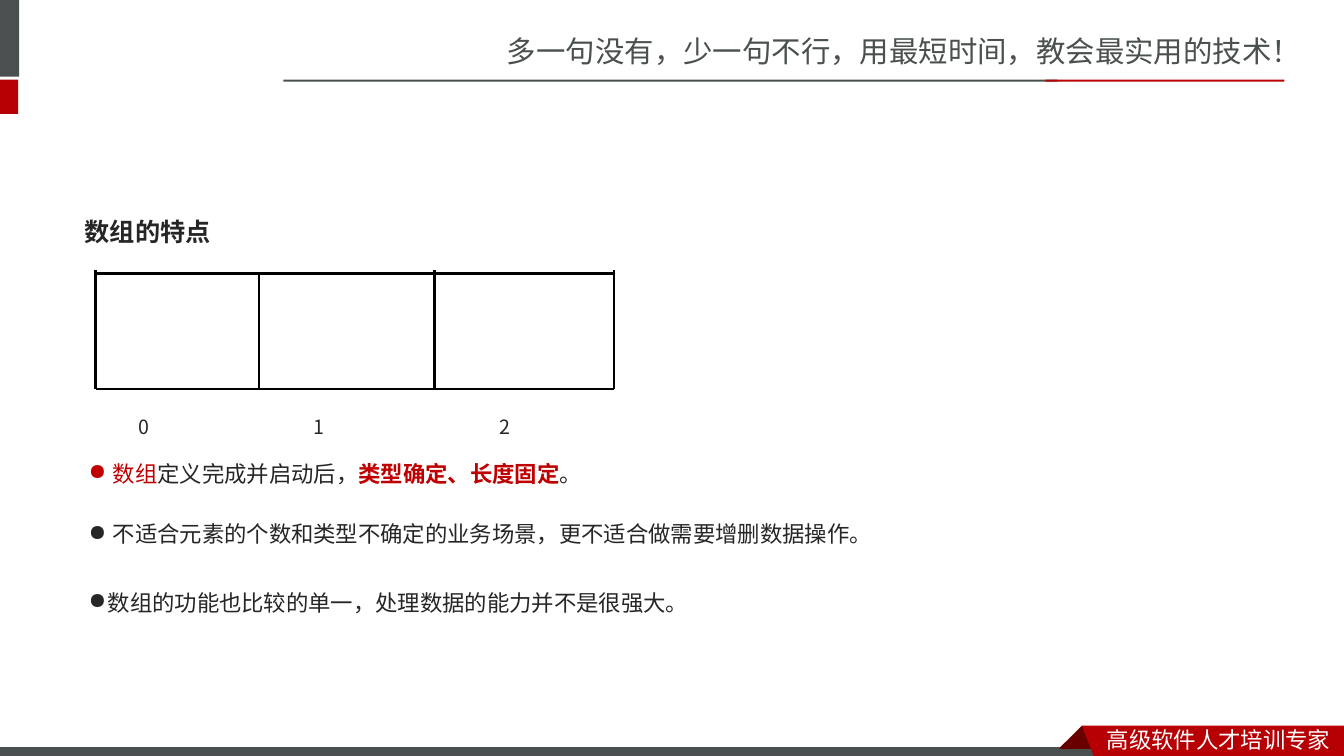
import pptx
import pptx.util
import pptx.dml.color
import pptx.enum.shapes
import pptx.enum.text
import pptx.oxml.ns
from lxml import etree

Inches, Pt = pptx.util.Inches, pptx.util.Pt
HEX = {"gray": "49504F", "red": "B60004", "dark": "680000", "white": "FFFFFF",
       "ink": "262626", "mark": "C00000", "black": "000000"}
COLOR = {name: pptx.dml.color.RGBColor.from_string(code) for name, code in HEX.items()}
SC, JP = "Noto Sans CJK SC", "Noto Sans CJK JP"
qn = pptx.oxml.ns.qn

deck = pptx.Presentation()
deck.slide_width, deck.slide_height = Inches(13.33), Inches(7.5)
slide = deck.slides.add_slide(deck.slide_layouts[5])
shapes = slide.shapes


def write(box, place, runs, size, face=JP, space=None, indent=None, bold=False):
    box.left, box.top, box.width, box.height = [Inches(n) for n in place]
    frame = box.text_frame
    frame.word_wrap = True
    frame.auto_size = pptx.enum.text.MSO_AUTO_SIZE.NONE
    frame.vertical_anchor = pptx.enum.text.MSO_ANCHOR.TOP
    para = frame.paragraphs[0]
    para.alignment = pptx.enum.text.PP_ALIGN.LEFT
    if space:
        para.line_spacing = space
    if indent:
        props = para._p.get_or_add_pPr()
        props.set("marL", str(Inches(indent)))
        props.set("indent", str(-Inches(indent)))
        etree.SubElement(props, qn("a:buChar")).set("char", "●")
    font = para.font
    font.size, font.name, font.bold = Pt(size), face, bold
    font.color.rgb = COLOR[runs[0][1]]
    etree.SubElement(font._element, qn("a:ea")).set("typeface", face)
    for text, color, *strong in runs:
        run = para.add_run()
        run.text = text
        if len(runs) > 1:
            run.font.color.rgb = COLOR[color]
            run.font.bold = bool(strong)


def paint(shape, color, edge=None):
    shape.shadow.inherit = False
    shape.fill.solid()
    shape.fill.fore_color.rgb = COLOR[color]
    if edge:
        shape.line.color.rgb = COLOR[edge]
        shape.line.width = Pt(0.75)
    else:
        shape.line.fill.background()


write(shapes.add_textbox(0, 0, 0, 0), (4.93, 0.28, 8.41, 0.47),
      [("多一句没有，少一句不行，用最短时间，教会最实用的技术！", "gray")], 21, SC)

bars = [((-0.06, 0, 0.25, 0.76), "gray", None),
        ((-0.06, 0.79, 0.24, 0.34), "red", None),
        ((2.81, 0.79, 7.68, 0.02), "gray", None),
        ((10.37, 0.79, 2.37, 0.02), "red", None),
        ((-0.01, 7.41, 11, 0.12), "gray", "white")]
for place, color, edge in bars:
    bar = shapes.add_shape(pptx.enum.shapes.MSO_SHAPE.RECTANGLE, *[Inches(n) for n in place])
    paint(bar, color, edge)

folds = [("dark", [(10.73, 7.2), (10.95, 7.42), (10.94, 7.43), (10.52, 7.43), (10.51, 7.42)]),
         ("red", [(10.73, 7.2), (13.33, 7.2), (13.33, 7.54), (10.86, 7.53)])]
for color, points in folds:
    start, *rest = [(Inches(x), Inches(y)) for x, y in points]
    pen = shapes.build_freeform(*start)
    pen.add_line_segments(rest, close=True)
    paint(pen.convert_to_shape(), color)

write(shapes.add_textbox(0, 0, 0, 0), (10.88, 7.15, 2.45, 0.37),
      [("高级软件人才培训专家", "white")], 16, SC)

write(shapes.title, (0.74, 1.95, 5.12, 0.51), [("数组的特点", "ink")], 18, space=1.5, bold=True)

left, right, top, base = 0.95, 6.09, 2.71, 3.86
lines = [(left, y, right, y) for y in (top, base)]
lines += [(x, 2.68, x, base) for x in (left, 4.31, right)]
lines.append((2.57, 2.7, 2.57, base))
for ends in lines:
    line = shapes.add_connector(pptx.enum.shapes.MSO_CONNECTOR.STRAIGHT, *[Inches(n) for n in ends])
    line.line.color.rgb = COLOR["black"]
    line.line.width = Pt(2)
    etree.SubElement(line._element.spPr, qn("a:effectLst"))

for index, x in enumerate((1.28, 3.01, 4.86)):
    write(shapes.add_textbox(0, 0, 0, 0), (x, 4.07, 0.32, 0.34), [(str(index), "ink")], 14)

points = [(4.38, 0.24, [("数组", "mark"), ("定义完成并启动后，", "ink"),
                        ("类型确定、长度固定", "mark", True), ("。", "ink")]),
          (4.98, 0.24, [("不适合元素的个数和类型不确定的业务场景，更不适合做需要增删数据操作。", "ink")]),
          (5.66, 0.19, [("数组的功能也比较的单一，处理数据的能力并不是很强大。", "ink")])]
for y, indent, runs in points:
    write(shapes.add_textbox(0, 0, 0, 0), (0.78, y, 9.98, 0.47), runs, 16, space=1.5, indent=indent)

deck.save("out.pptx")
